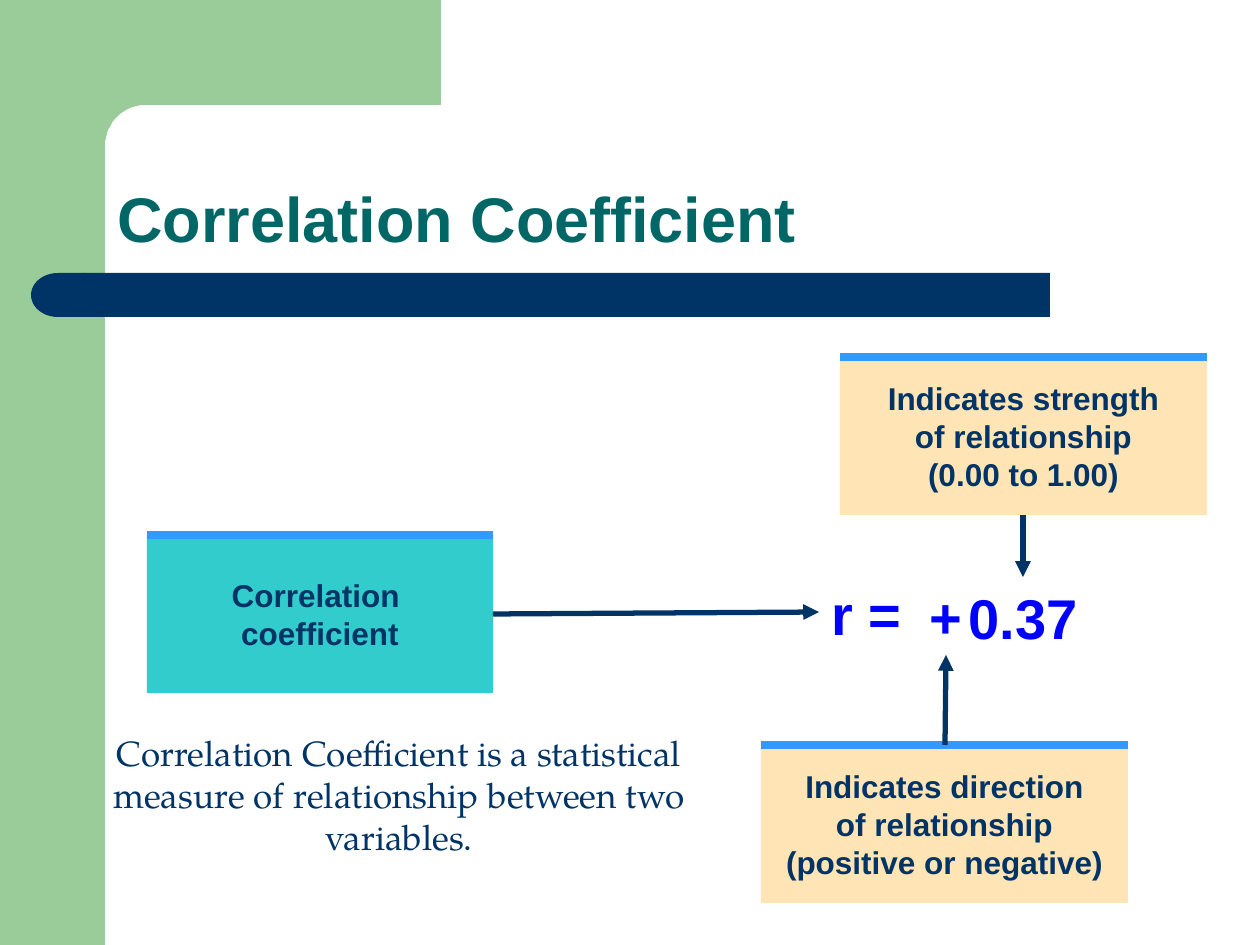
import math
from lxml import etree
from pptx import Presentation, util as u
from pptx.dml.color import RGBColor
from pptx.enum import shapes, text
from pptx.oxml.ns import qn

PX = 914400 / 126
NAVY, GREEN, TEAL, BLUE = "003366", "99CC99", "006666", "0000FF"
SHAPE = shapes.MSO_SHAPE
LEFT, CENTER = text.PP_ALIGN.LEFT, text.PP_ALIGN.CENTER
MIDDLE = text.MSO_ANCHOR.MIDDLE


def rgb(value):
    return RGBColor.from_string(value)


def write(sp, lines, size, color, bold=True, font="Arial", align=LEFT, wrap=False):
    tf = sp.text_frame
    tf.word_wrap = wrap
    tf.text = "\n".join(lines)
    for p in tf.paragraphs:
        p.alignment = align
        for r in p.runs:
            r.font.name, r.font.size, r.font.bold = font, u.Pt(size), bold
            r.font.color.rgb = rgb(color)
    return tf


prs = Presentation()
prs.slide_width, prs.slide_height = u.Inches(10), u.Inches(7.5)
s = prs.slides.add_slide(prs.slide_layouts[6])

# Green frame: side band, then top band with a rounded inner corner
side = s.shapes.add_shape(SHAPE.RECTANGLE, 0, 0, *[round(v * PX) for v in (105, 945)])
arc = [(145 - 40 * math.sin(a), 146 - 41 * math.cos(a))
       for a in (math.pi / 2 * i / 16 for i in range(17))]
outline = s.shapes.build_freeform(63, 0, scale=PX)
outline.add_line_segments([(441, 0), (441, 105)] + arc + [(105, 161), (63, 161)])
top = outline.convert_to_shape()

# Navy title rule with a rounded left end
rule = s.shapes.add_shape(SHAPE.RECTANGLE, *[round(v * PX) for v in (84, 273, 966, 44)])
cap = s.shapes.add_shape(SHAPE.FLOWCHART_DELAY, *[round(v * PX) for v in (31, 273, 54, 44)])
cap._element.spPr.find(qn("a:xfrm")).set("flipH", "1")

for sp, color in ((side, GREEN), (top, GREEN), (rule, NAVY), (cap, NAVY)):
    sp.shadow.inherit = False
    sp.fill.solid()
    sp.fill.fore_color.rgb = rgb(color)
    sp.line.fill.background()

# Title
title = s.shapes.add_textbox(*[round(v * PX) for v in (105, 105, 1092, 157)])
tf = write(title, ["Correlation Coefficient"], 36, TEAL, wrap=True)
tf.vertical_anchor = text.MSO_ANCHOR.BOTTOM
tf.paragraphs[0].line_spacing = 0.9

# Boxes, each with a blue line along its top edge
boxes = [
    (147, 535, 346, "33CCCC", ["Correlation ", "coefficient"]),
    (761, 745, 367, "FFE5B5",
     ["Indicates direction", "of relationship", "(positive or negative)"]),
    (840, 357, 367, "FFE5B5",
     ["Indicates strength", "of relationship", "(0.00 to 1.00)"]),
]
lines = []
for x, y, w, color, words in boxes:
    box = s.shapes.add_shape(SHAPE.RECTANGLE, *[round(v * PX) for v in (x, y, w, 158)])
    box.shadow.inherit = False
    box.fill.solid()
    box.fill.fore_color.rgb = rgb(color)
    box.line.fill.background()
    write(box, words, 18, NAVY, align=CENTER).vertical_anchor = MIDDLE
    lines.append((x, y, x + w, y, "3399FF", 4.5, False))

# Top edges and arrows
lines += [
    (945, 745, 946, 655, NAVY, 3, True),
    (493, 614, 819, 612, NAVY, 3, True),
    (1023, 515, 1023, 577, NAVY, 3, True),
]
for x1, y1, x2, y2, color, width, arrow in lines:
    line = s.shapes.add_connector(shapes.MSO_CONNECTOR.STRAIGHT,
                                  *[round(v * PX) for v in (x1, y1, x2, y2)])
    line.line.color.rgb = rgb(color)
    line.line.width = u.Pt(width)
    if arrow:
        etree.SubElement(line.line._get_or_add_ln(), qn("a:tailEnd"), type="triangle")
    etree.SubElement(line._element.spPr, qn("a:effectLst"))

# Coefficient value
for x, y, w, words in ((819, 573, 96, "r ="), (956, 577, 134, "0.37"), (917, 576, 58, "+")):
    value = s.shapes.add_textbox(*[round(v * PX) for v in (x, y, w, 79)])
    write(value, [words], 32, BLUE).auto_size = text.MSO_AUTO_SIZE.SHAPE_TO_FIT_TEXT

# Definition
definition = s.shapes.add_textbox(*[round(v * PX) for v in (84, 725, 630, 157)])
tf = write(definition, ["Correlation Coefficient is a statistical measure of "
                        "relationship between two variables."],
           20, NAVY, bold=False, font="TeX Gyre Pagella", align=CENTER, wrap=True)
tf.paragraphs[0].space_before = u.Pt(4)

prs.save("out.pptx")
